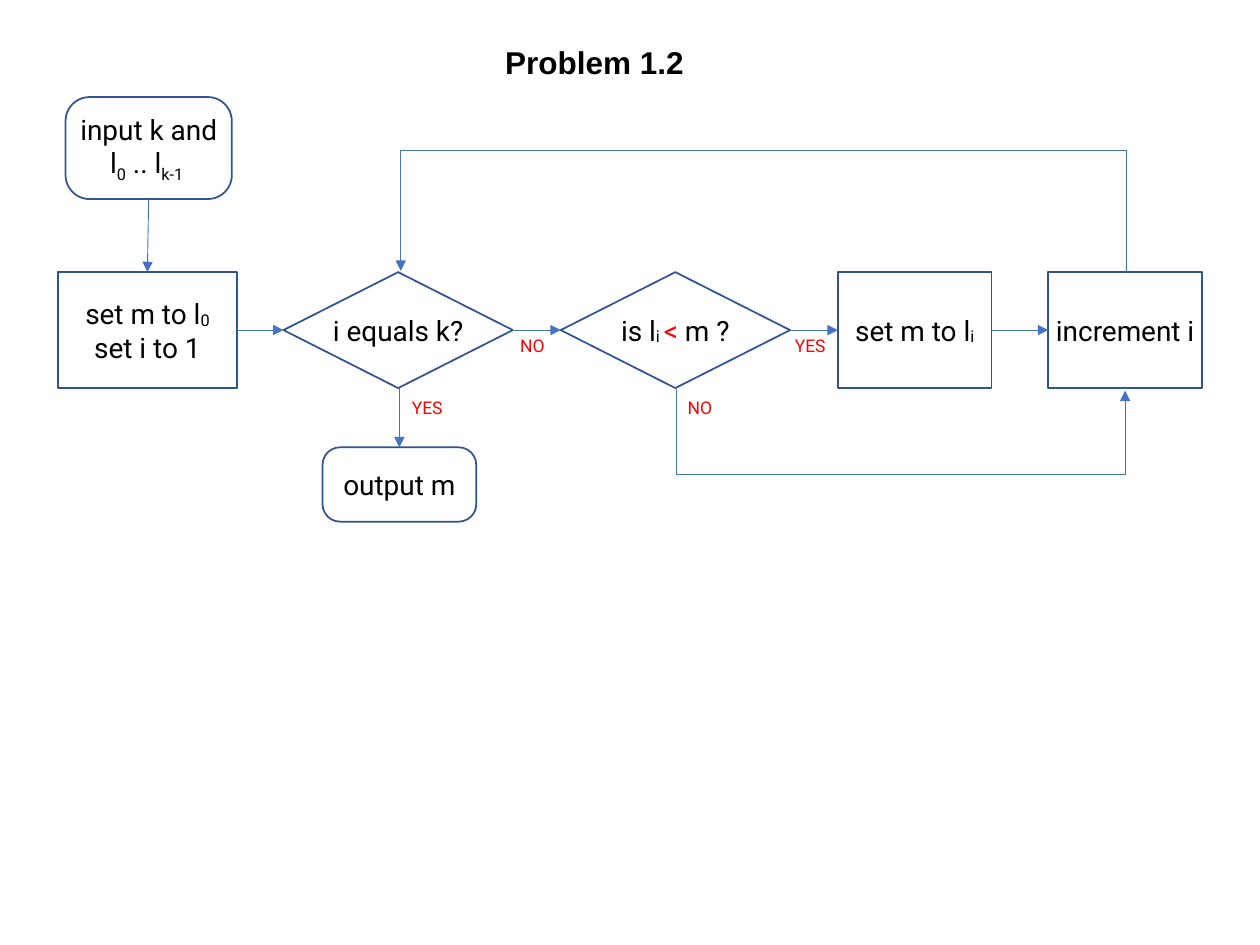
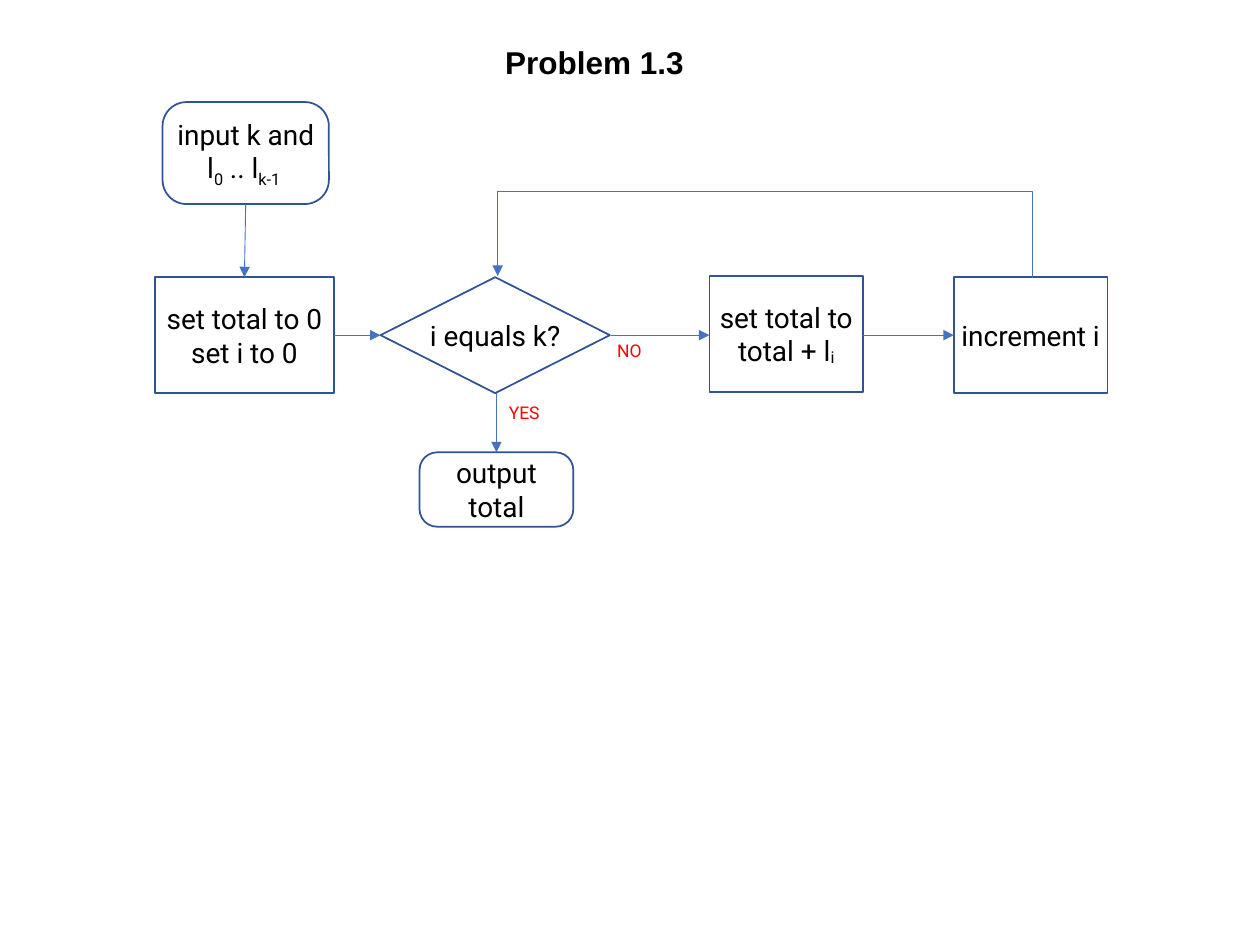
import pptx
import pptx.util
import pptx.dml.color
import pptx.enum.shapes
import pptx.enum.text
import pptx.oxml
import pptx.oxml.ns
import lxml.etree

Inches = pptx.util.Inches
SHAPES = pptx.enum.shapes.MSO_SHAPE
CONNECTORS = pptx.enum.shapes.MSO_CONNECTOR
ALIGN = pptx.enum.text.PP_ALIGN
ANCHOR = pptx.enum.text.MSO_ANCHOR
AUTO_SIZE = pptx.enum.text.MSO_AUTO_SIZE

BLACK, WHITE, RED = "000000", "FFFFFF", "FF0000"
OUTLINE, ARROW = "2F5394", "4472C4"
BODY_FONT, TITLE_FONT = "Roboto", "Arial"
INDEX, SUBSCRIPT = -6, -25  # baseline shifts in percent
BOX_HEIGHT = 0.92
STEP_WIDTH = 1.22
DIAMOND_WIDTH = 1.82


def color(value):
    """Turn a hex string into a colour."""
    return pptx.dml.color.RGBColor.from_string(value)


def style_run(run, size, value=BLACK, font=BODY_FONT, baseline=0):
    """Set the look of a run; baseline is a shift in percent."""
    run.font.size = pptx.util.Pt(size)
    run.font.name = font
    run.font.color.rgb = color(value)
    if baseline:
        run.font._element.set("baseline", str(baseline * 1000))


def fill_text(text_frame, lines, size, value=BLACK, wrap=True):
    """Write centred lines; a line is a list of (text, baseline, colour)."""
    text_frame.word_wrap = wrap
    text_frame.vertical_anchor = ANCHOR.MIDDLE
    text_frame.margin_left = text_frame.margin_right = Inches(0.03)
    text_frame.margin_top = text_frame.margin_bottom = Inches(0.03)
    for number, line in enumerate(lines):
        paragraph = text_frame.add_paragraph() if number else text_frame.paragraphs[0]
        paragraph.alignment = ALIGN.CENTER
        for text, baseline, run_color in line:
            run = paragraph.add_run()
            run.text = text
            style_run(run, size, run_color or value, baseline=baseline)


def plain(text):
    """Make a line with a single run."""
    return [(text, 0, None)]


def indexed(text, index):
    """Make a line that ends in an index."""
    return [(text, 0, None), (index, INDEX, None)]


def add_node(slide, kind, left, top, width, height, lines):
    """Add one outlined node of the flowchart."""
    shape = slide.shapes.add_shape(
        kind, Inches(left), Inches(top), Inches(width), Inches(height))
    shape.shadow.inherit = False
    shape.fill.solid()
    shape.fill.fore_color.rgb = color(WHITE)
    shape.line.color.rgb = color(OUTLINE)
    shape.line.width = pptx.util.Pt(1)
    if kind == SHAPES.ROUNDED_RECTANGLE:
        shape.adjustments[0] = 0.236
    fill_text(shape.text_frame, lines, 16, wrap=kind != SHAPES.DIAMOND)


def add_step(slide, left, top, line):
    """Add a rectangle for one step of the loop."""
    add_node(slide, SHAPES.RECTANGLE, left, top, STEP_WIDTH, BOX_HEIGHT, [line])


def add_decision(slide, left, top, line):
    """Add a diamond for a question."""
    add_node(slide, SHAPES.DIAMOND, left, top, DIAMOND_WIDTH, BOX_HEIGHT, [line])


def add_answer(slide, left, top, text):
    """Add a red YES or NO beside an arrow."""
    width = 0.34 if text == "YES" else 0.27
    box = slide.shapes.add_textbox(
        Inches(left), Inches(top), Inches(width), Inches(0.23))
    fill_text(box.text_frame, [plain(text)], 10, RED, wrap=False)
    box.text_frame.auto_size = AUTO_SIZE.SHAPE_TO_FIT_TEXT


def add_arrow(slide, start, end, kind=CONNECTORS.STRAIGHT):
    """Add a thin connector with an arrowhead at its end."""
    connector = slide.shapes.add_connector(
        kind, *(Inches(value) for value in (*start, *end)))
    connector.line.color.rgb = color(ARROW)
    connector.line.width = pptx.util.Pt(0.5)
    line = connector.line._get_or_add_ln()
    lxml.etree.SubElement(line, pptx.oxml.ns.qn("a:tailEnd"), type="triangle")
    lxml.etree.SubElement(connector._element.spPr, pptx.oxml.ns.qn("a:effectLst"))
    return connector


def bend(connector, first, second):
    """Give a connector two bends, as fractions of its width and height."""
    geometry = connector._element.spPr.find(pptx.oxml.ns.qn("a:prstGeom"))
    geometry.set("prst", "bentConnector4")
    guides = geometry.get_or_add_avLst()
    for name, fraction in (("adj1", first), ("adj2", second)):
        lxml.etree.SubElement(guides, pptx.oxml.ns.qn("a:gd"), name=name,
                              fmla=f"val {round(fraction * 100000)}")


def add_bypass(slide, start, end, level):
    """Lead an arrow down to a level, to the right and up to its end."""
    connector = add_arrow(slide, start, end, CONNECTORS.ELBOW)
    bend(connector, 0, (level - start[1]) / (end[1] - start[1]))


def add_loop_back(slide, start, end, level):
    """Lead an arrow up to a level, to the left and down to its end."""
    connector = add_arrow(slide, start, end, CONNECTORS.ELBOW)
    rise, run = start[1] - end[1], start[0] - end[0]
    # The frame is turned a quarter, so its width is the rise.
    connector.left = Inches((start[0] + end[0] - rise) / 2)
    connector.top = Inches((start[1] + end[1] - run) / 2)
    connector.width, connector.height = Inches(rise), Inches(run)
    frame = connector._element.spPr.find(pptx.oxml.ns.qn("a:xfrm"))
    frame.attrib.pop("flipH", None)
    frame.set("flipV", "1")
    frame.set("rot", str(270 * 60000))
    bend(connector, (start[1] - level) / rise, 1)


def add_title_slide(presentation, title):
    """Add a slide with the shared title style."""
    slide = presentation.slides.add_slide(presentation.slide_layouts[5])
    shape = slide.shapes.title
    shape.left, shape.top = Inches(3.91), Inches(0.29)
    shape.width, shape.height = Inches(1.63), Inches(0.4)
    text_frame = shape.text_frame
    text_frame.text = title
    text_frame.word_wrap = False
    text_frame.auto_size = AUTO_SIZE.SHAPE_TO_FIT_TEXT
    text_frame.vertical_anchor = ANCHOR.TOP
    paragraph = text_frame.paragraphs[0]
    paragraph.alignment = ALIGN.LEFT
    style_run(paragraph.runs[0], 18, font=TITLE_FONT)
    paragraph.runs[0].font.bold = True
    return slide


def add_loop_head(slide, x, y, setup, result):
    """Add input, setup, loop test and output; x, y is the setup box's corner."""
    rounded = SHAPES.ROUNDED_RECTANGLE
    middle, bottom = y + BOX_HEIGHT / 2, y + BOX_HEIGHT
    add_node(slide, SHAPES.RECTANGLE, x, y, 1.42, BOX_HEIGHT, setup)
    add_decision(slide, x + 1.79, y, plain("i equals k?"))
    add_node(slide, rounded, x + 2.1, y + 1.39, STEP_WIDTH, 0.59, [plain(result)])
    add_node(slide, rounded, x + 0.06, y - 1.39, 1.32, 0.81, [[
        ("input k and l", 0, None), ("0", SUBSCRIPT, None),
        (" .. l", 0, None), ("k-1 ", SUBSCRIPT, None)]])
    add_answer(slide, x + 2.76, y + 0.96, "YES")
    add_answer(slide, x + 3.63, y + 0.47, "NO")
    add_arrow(slide, (x + 0.72, y - 0.58), (x + 0.71, y))
    add_arrow(slide, (x + 1.42, middle), (x + 1.79, middle))
    add_arrow(slide, (x + 2.71, bottom), (x + 2.71, y + 1.39))


def build_minimum(presentation):
    """Build the flowchart that finds the smallest item."""
    slide = add_title_slide(presentation, "Problem 1.2")
    top, middle = 2.16, 2.62
    add_loop_head(slide, 0.46, top,
                  [indexed("set m to l", "0"), plain("set i to 1")], "output m")
    add_decision(slide, 4.45, top, [
        ("is l", 0, None), ("i ", INDEX, None), ("<", 0, RED), (" m ?", 0, None)])
    add_step(slide, 6.65, top, indexed("set m to l", "i"))
    add_step(slide, 8.32, top, plain("increment i"))
    add_answer(slide, 6.26, 2.63, "YES")
    add_answer(slide, 5.42, 3.12, "NO")
    for start, end in ((4.08, 4.45), (6.28, 6.65), (7.87, 8.32)):
        add_arrow(slide, (start, middle), (end, middle))
    add_bypass(slide, (5.37, 3.09), (8.93, 3.1), 3.78)
    add_loop_back(slide, (8.94, 2.17), (3.18, 2.15), 1.2)


def build_total(presentation):
    """Build the flowchart that adds up the items."""
    slide = add_title_slide(presentation, "Problem 1.3")
    top, middle = 2.2, 2.66
    add_loop_head(slide, 1.23, top,
                  [plain("set total to 0"), plain("set i to 0")], "output total")
    add_step(slide, 5.63, 2.19, indexed("set total to total + l", "i"))
    add_step(slide, 7.57, top, plain("increment i"))
    for start, end in ((4.85, 5.63), (6.85, 7.57)):
        add_arrow(slide, (start, middle), (end, middle))
    add_loop_back(slide, (8.19, 2.21), (3.95, 2.19), 1.52)


def main():
    """Build both slides and save them."""
    presentation = pptx.Presentation()
    presentation.slide_width = Inches(10)
    presentation.slide_height = Inches(7.5)
    build_minimum(presentation)
    build_total(presentation)
    presentation.save("out.pptx")


main()
